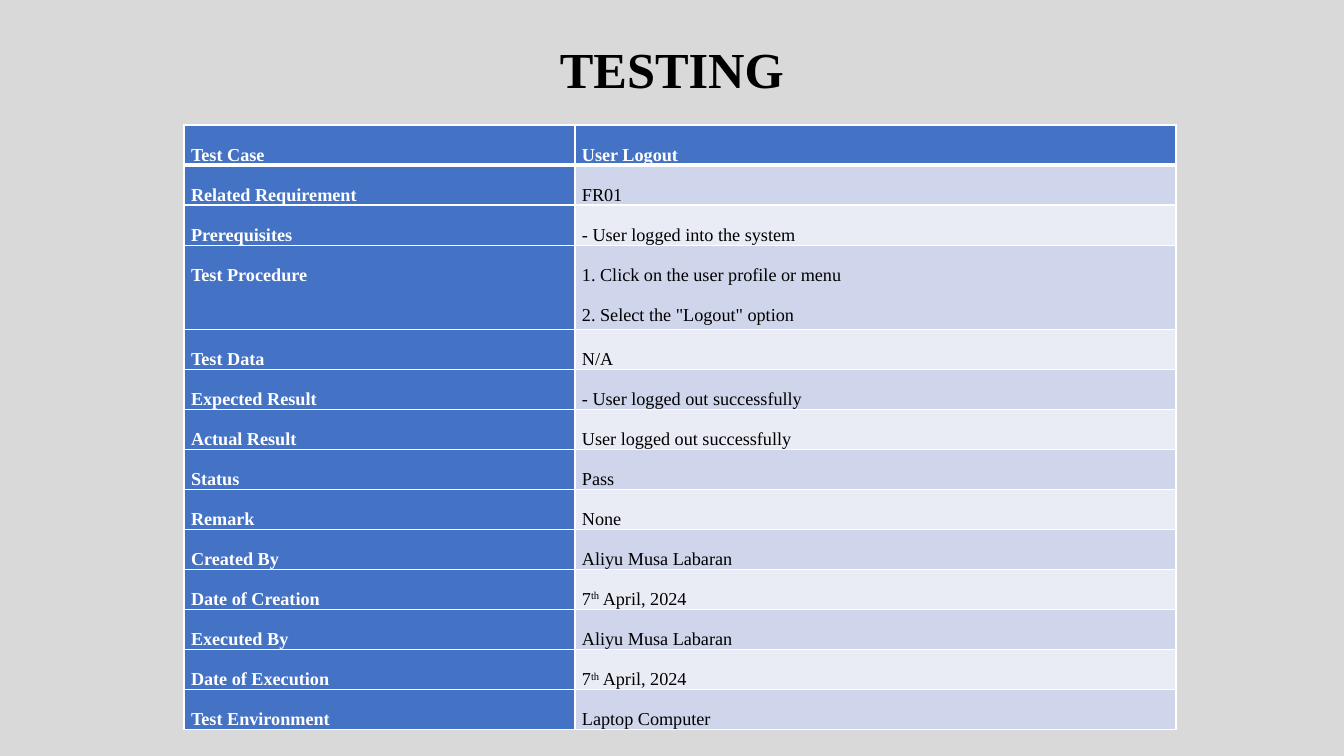
from lxml.etree import SubElement
from pptx import Presentation
from pptx.dml.color import RGBColor
from pptx.enum.text import MSO_ANCHOR, PP_ALIGN
from pptx.oxml import parse_xml
from pptx.oxml.ns import nsdecls
from pptx.util import Emu, Pt

COLOURS = {
    "background": "D9D9D9",
    "heading": "4472C4",
    "odd": "CFD5EA",
    "even": "E9EBF5",
    "black": "000000",
    "white": "FFFFFF",
}
EMU_PER_PX = 12192000 / 1344
ROW_HEIGHT = 39
PROCEDURE_HEIGHT = 84
COLUMN_WIDTHS = [391, 601]


def px(length):
    return Emu(round(length * EMU_PER_PX))


def write(paragraph, text, *, size, colour, bold=False, spacing=1.0,
          align=PP_ALIGN.LEFT, baseline=None):
    paragraph.alignment = align
    paragraph.line_spacing = spacing
    run = paragraph.add_run()
    run.text = text
    run.font.name = "Times New Roman"
    run.font.size = Pt(size)
    run.font.bold = bold
    run.font.color.rgb = RGBColor.from_string(COLOURS[colour])
    if baseline:
        run._r.get_or_add_rPr().set("baseline", str(baseline))


date = [[("7", None), ("th", 30000), (" April, 2024", None)]]
test_case = [
    ("Test Case", "User Logout"),
    ("Related Requirement", "FR01"),
    ("Prerequisites", "- User logged into the system"),
    ("Test Procedure", [
        [("1. Click on the user profile or menu", None)],
        [('2. Select the "Logout" option', None)],
    ]),
    ("Test Data", "N/A"),
    ("Expected Result", "- User logged out successfully"),
    ("Actual Result", "User logged out successfully"),
    ("Status", "Pass"),
    ("Remark", "None"),
    ("Created By", "Aliyu Musa Labaran"),
    ("Date of Creation", date),
    ("Executed By", "Aliyu Musa Labaran"),
    ("Date of Execution", date),
    ("Test Environment", "Laptop Computer"),
]

presentation = Presentation()
presentation.slide_width = px(1344)
presentation.slide_height = px(756)
slide = presentation.slides.add_slide(presentation.slide_layouts[5])
slide.background.fill.solid()
slide.background.fill.fore_color.rgb = RGBColor.from_string(COLOURS["background"])

title = slide.shapes.title
title.left, title.top, title.width, title.height = px(168), px(39), px(1008), px(67)
title.text_frame.vertical_anchor = MSO_ANCHOR.MIDDLE
write(title.text_frame.paragraphs[0], "TESTING", size=36, colour="black",
      bold=True, spacing=0.9, align=PP_ALIGN.CENTER)

table_height = ROW_HEIGHT * (len(test_case) - 1) + PROCEDURE_HEIGHT
table = slide.shapes.add_table(
    len(test_case), 2, px(184), px(125), px(sum(COLUMN_WIDTHS)), px(table_height)
).table
table.first_col = True
for column, width in zip(table.columns, COLUMN_WIDTHS):
    column.width = px(width)

for row, entry in enumerate(test_case):
    is_procedure = entry[0] == "Test Procedure"
    table.rows[row].height = px(PROCEDURE_HEIGHT if is_procedure else ROW_HEIGHT)
    for column, content in enumerate(entry):
        cell = table.cell(row, column)
        is_heading = row == 0 or column == 0
        fill = "heading" if is_heading else "odd" if row % 2 else "even"
        cell.fill.solid()
        cell.fill.fore_color.rgb = RGBColor.from_string(COLOURS[fill])
        cell.margin_left = cell.margin_right = px(7)
        cell.margin_top = cell.margin_bottom = 0
        cell.vertical_anchor = MSO_ANCHOR.TOP

        lines = [[(content, None)]] if isinstance(content, str) else content
        for number, line in enumerate(lines):
            frame = cell.text_frame
            paragraph = frame.add_paragraph() if number else frame.paragraphs[0]
            for text, baseline in line:
                write(paragraph, text, size=13, bold=is_heading, spacing=2.0,
                      colour="white" if is_heading else "black", baseline=baseline)

        properties = cell._tc.get_or_add_tcPr()
        for position, side in enumerate(["lnL", "lnR", "lnT", "lnB"]):
            under_header = (row, side) in [(0, "lnB"), (1, "lnT")]
            border = parse_xml(f'<a:{side} {nsdecls("a")} w="{Pt(3 if under_header else 1)}"/>')
            namespace = "{" + border.nsmap["a"] + "}"
            solid = SubElement(border, namespace + "solidFill")
            SubElement(solid, namespace + "srgbClr", val=COLOURS["white"])
            properties.insert(position, border)

presentation.save("out.pptx")
